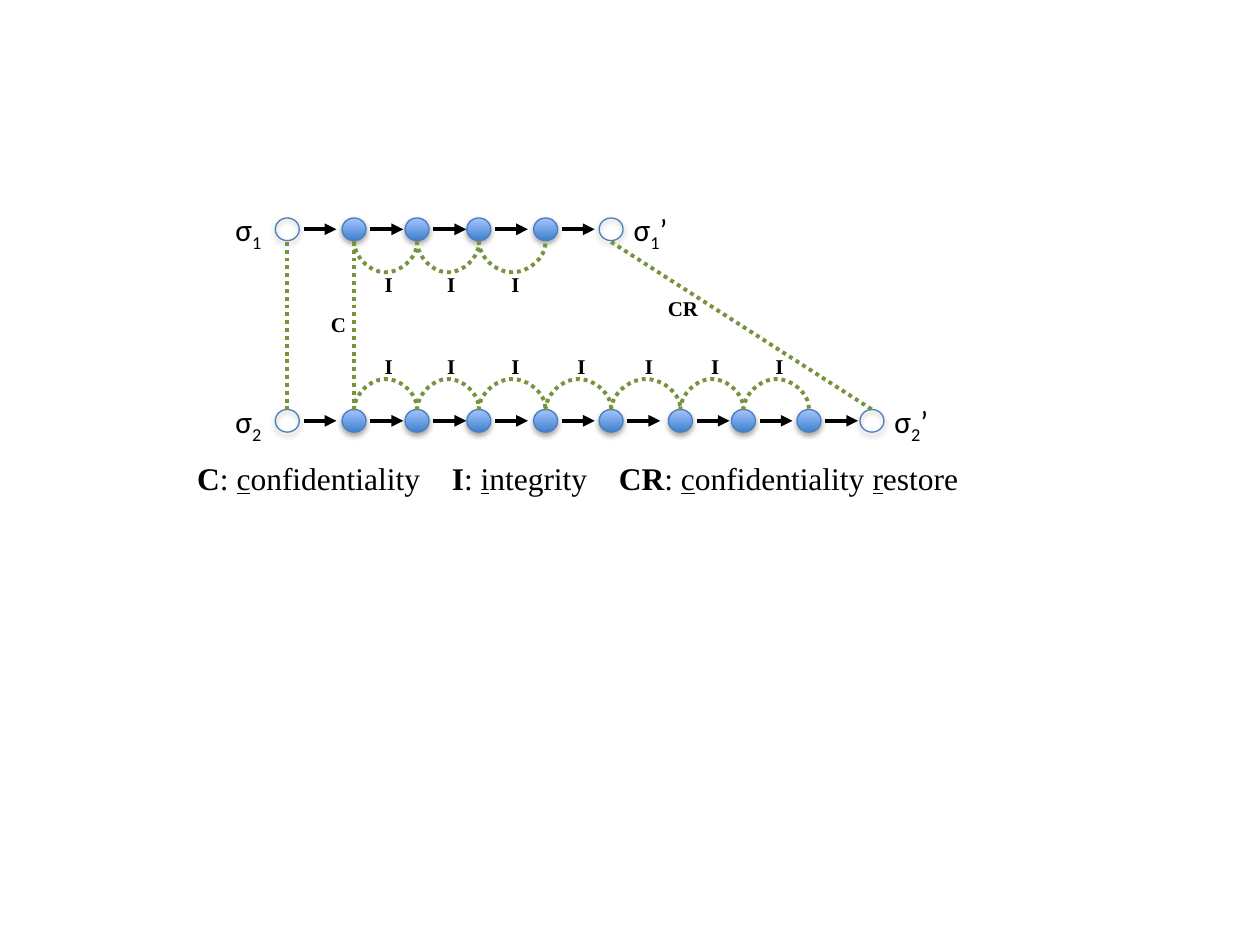
from dataclasses import dataclass
from itertools import pairwise

from lxml.etree import SubElement
from pptx import Presentation
from pptx.dml.color import RGBColor as RGB
from pptx.enum.dml import MSO_LINE_DASH_STYLE as DASH
from pptx.enum.shapes import MSO_CONNECTOR_TYPE as LINK, MSO_SHAPE as SHAPE
from pptx.enum.text import PP_ALIGN as ALIGN
from pptx.oxml.ns import qn
from pptx.util import Emu, Inches, Pt


@dataclass(frozen=True)
class Theme:
    """Colours, fonts and type sizes of the slide."""
    ink: RGB = RGB(0, 0, 0)
    relation: RGB = RGB(0x77, 0x93, 0x3C)
    outline: RGB = RGB(0x4B, 0x7E, 0xBC)
    state_low: RGB = RGB(0x3F, 0x80, 0xCE)
    state_high: RGB = RGB(0xA4, 0xC4, 0xFF)
    serif: str = "Times New Roman"
    sans: str = "Calibri"
    large: int = 18
    small: int = 12


theme = Theme()
deck = Presentation()
deck.slide_width, deck.slide_height = Inches(10), Inches(7.5)
slide = deck.slides.add_slide(deck.slide_layouts[6])


def write(runs, box, size=theme.large, font=theme.serif, align=ALIGN.CENTER):
    """Put (text, style) runs in a box; styles are b, u, sub or empty."""
    frame = slide.shapes.add_textbox(*map(Inches, box)).text_frame
    frame.word_wrap = True
    paragraph = frame.paragraphs[0]
    paragraph.alignment = align
    for words, style in runs:
        run = paragraph.add_run()
        run.text = words
        run.font.name, run.font.size = font, Pt(size)
        run.font.color.rgb = theme.ink
        run.font.bold = style == "b"
        run.font.underline = style == "u"
        if style == "sub":
            run.font._element.set("baseline", "-25000")


def link(start, end, kind=LINK.STRAIGHT, color=theme.relation, dotted=True):
    """Draw a connector between two points, dotted or with an arrowhead."""
    line = slide.shapes.add_connector(kind, *map(Inches, (*start, *end)))
    line.line.color.rgb, line.line.width = color, Pt(2.25)
    if dotted:
        line.line.dash_style = DASH.ROUND_DOT
    else:
        SubElement(line.line._get_or_add_ln(), qn("a:tailEnd"), type="triangle")
    SubElement(line._element.spPr, qn("a:effectLst"))
    return line


columns = [2.28, 2.81, 3.31, 3.8, 4.33, 4.85, 5.4, 5.9, 6.42, 6.92]
upper, lower = 1.82, 3.34
state_w, state_h = 0.19, 0.18
upper_edge, lower_edge = upper + 0.1, lower - 0.09
traces = [(upper, columns[:6]), (lower, columns)]

write([("C", "b"), (": ", ""), ("c", "u"), ("onfidentiality    ", ""),
       ("I", "b"), (": ", ""), ("i", "u"), ("ntegrity    ", ""),
       ("CR", "b"), (": ", ""), ("c", "u"), ("onfidentiality ", ""),
       ("r", "u"), ("estore", "")], (1.37, 3.59, 6.43, 0.4))

# States, arrows and names of both traces
for index, (row, centres) in enumerate(traces, 1):
    name = [("σ", ""), (str(index), "sub")]
    name_top = row - 0.2
    for left, runs in ((1.77, name), (centres[-1] + 0.08, name + [("’", "")])):
        write(runs, (left, name_top, 0.51, 0.4), font=theme.sans, align=ALIGN.LEFT)
    for x in centres:
        is_end = x in (centres[0], centres[-1])
        if x != centres[-1]:
            link((x + 0.13, row), (x + 0.39, row), color=theme.ink, dotted=False)
        state = slide.shapes.add_shape(SHAPE.OVAL, *map(Inches, (
            x - state_w / 2, row - state_h / 2, state_w, state_h)))
        if is_end:
            state.fill.background()
        else:
            state.fill.gradient()
            state.fill.gradient_angle = 90
            low, high = state.fill.gradient_stops
            low.color.rgb, high.color.rgb = theme.state_low, theme.state_high
            low.position, high.position = 0, 1
        state.line.color.rgb, state.line.width = theme.outline, Pt(0.75)
        state.shadow.inherit = False
        effects = state._element.spPr.find(qn("a:effectLst"))
        shadow = SubElement(effects, qn("a:outerShdw"), blurRad="40000",
                            dist="23000", dir="5400000", rotWithShape="0")
        shade = SubElement(shadow, qn("a:srgbClr"), val=str(theme.ink))
        SubElement(shade, qn("a:alpha"), val="35000")

# Relations between the traces
for first, second in ((0, 0), (5, 9), (1, 1)):
    link((columns[first], upper_edge), (columns[second], lower_edge))

# Integrity arcs: a narrow curved connector turned a quarter, bulging inwards
thin = Emu(12700).inches
for (row, centres), edge, turn, label_top in zip(
        traces, (upper_edge, lower_edge), (270, 90), (2.11, 2.76)):
    for start, end in pairwise(centres[1:-1]):
        middle, half = (start + end) / 2, (end - start) / 2
        corners = [(middle + thin / 2, edge - half), (middle - thin / 2, edge + half)]
        if turn == 90:
            corners = [(corners[0][0], corners[1][1]), (corners[1][0], corners[0][1])]
        arc = link(*corners, kind=LINK.CURVE)
        properties = arc._element.spPr
        properties.find(qn("a:xfrm")).set("rot", str(turn * 60000))
        geometry = properties.find(qn("a:prstGeom"))
        SubElement(geometry.find(qn("a:avLst")), qn("a:gd"),
                   name="adj1", fmla="val 1800000")
        write([(" ", ""), ("I", "b")], (middle - 0.18, label_top, 0.37, 0.3),
              size=theme.small)

for mark, box in (("C", (2.48, 2.42, 0.37, 0.3)), ("CR", (5.2, 2.1, 0.44, 0.5))):
    write([(" ", ""), (mark, "b")], box, size=theme.small)

deck.save("out.pptx")
